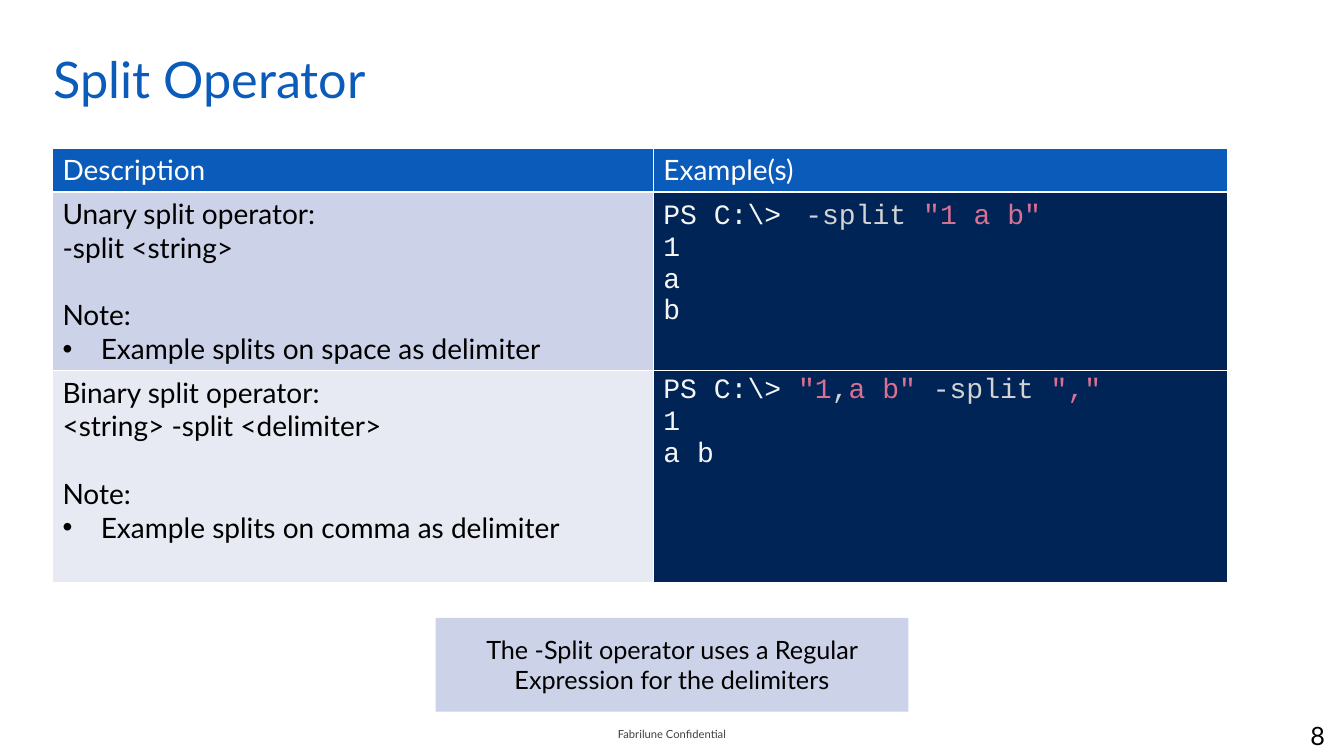
from typing import NamedTuple

from lxml.etree import SubElement
from pptx import Presentation
from pptx.dml.color import RGBColor
from pptx.enum.shapes import MSO_SHAPE
from pptx.enum.text import MSO_ANCHOR as Anchor, PP_ALIGN as Align
from pptx.oxml.ns import qn
from pptx.util import Inches, Pt

BLUE, NAVY, LAVENDER, PALE = "0A5BBA", "012456", "CCD2E7", "E7EAF3"
WHITE, BLACK, GRAY = "FFFFFF", "000000", "3F3F3F"
OUTPUT, OPERATOR, STRING = "F5F5F5", "D3D3D3", "DB7093"
BODY, CODE = "Lato", "Courier New"


class Piece(NamedTuple):
    text: str
    color: str = BLACK
    font: str = BODY
    size: float = 20


class Line(NamedTuple):
    pieces: list[Piece]
    align: Align = Align.LEFT
    bullet: bool = False
    space_before: float = 0


class Label(NamedTuple):
    left: float
    top: float
    width: float
    height: float
    insets: tuple[float, float, float, float]
    anchor: Anchor
    line: Line


class Cell(NamedTuple):
    fill: str
    lines: list[Line]


def rgb(color: str) -> RGBColor:
    return RGBColor.from_string(color)


def write(frame, lines: list[Line]) -> None:
    frame.word_wrap = True
    for index, line in enumerate(lines):
        para = frame.paragraphs[0] if index == 0 else frame.add_paragraph()
        para.alignment = line.align
        para.space_before = Pt(line.space_before)
        if line.bullet:
            props = para._p.get_or_add_pPr()
            props.set("marL", str(Inches(0.38)))
            props.set("indent", str(Inches(-0.38)))
            SubElement(props, qn("a:buFont"), typeface="Arial")
            SubElement(props, qn("a:buChar"), char="•")
        for piece in line.pieces:
            span = para.add_run()
            span.text = piece.text
            span.font.name = piece.font
            span.font.size = Pt(piece.size)
            span.font.color.rgb = rgb(piece.color)


def add_label(page, label: Label) -> None:
    box = page.shapes.add_textbox(Inches(label.left), Inches(label.top),
                                  Inches(label.width), Inches(label.height))
    frame = box.text_frame
    (frame.margin_left, frame.margin_top,
     frame.margin_right, frame.margin_bottom) = map(Inches, label.insets)
    frame.vertical_anchor = label.anchor
    write(frame, [label.line])


def fill_cell(cell, content: Cell) -> None:
    write(cell.text_frame, content.lines)
    props = cell._tc.get_or_add_tcPr()
    for side in ("lnL", "lnR", "lnT", "lnB"):
        border = SubElement(props, qn(f"a:{side}"), w=str(Pt(1)))
        paint = SubElement(border, qn("a:solidFill"))
        SubElement(paint, qn("a:srgbClr"), val=WHITE)
    cell.fill.solid()
    cell.fill.fore_color.rgb = rgb(content.fill)


def header(text: str) -> Cell:
    return Cell(BLUE, [Line([Piece(text, WHITE)])])


def description(fill: str, kind: str, syntax: str, delimiter: str) -> Cell:
    return Cell(fill, [
        Line([Piece(f"{kind} split operator:")]),
        Line([Piece(syntax)]),
        Line([Piece("Note:")], space_before=24),
        Line([Piece(f"Example splits on {delimiter} as delimiter")], bullet=True),
    ])


def console(command: list[Piece], results: list[str]) -> Cell:
    prompt = Piece("PS C:\\> ", OUTPUT, CODE)
    return Cell(NAVY, [Line([prompt, *command])]
                + [Line([Piece(result, OUTPUT, CODE)]) for result in results])


deck = Presentation()
deck.slide_width, deck.slide_height = Inches(13.33), Inches(7.5)
page = deck.slides.add_slide(deck.slide_layouts[6])

# Title, footer and page number
FOOTER_INSETS = (0.2, 0.05, 0.2, 0.05)
LABELS = [
    Label(0.33, 0.33, 12.33, 0.75, (0.2, 0.15, 0.1, 0.05), Anchor.TOP,
          Line([Piece("Split Operator", BLUE, size=36)])),
    Label(5.11, 7.08, 3.11, 0.4, FOOTER_INSETS, Anchor.MIDDLE,
          Line([Piece("Fabrilune Confidential", GRAY, size=8)], Align.CENTER)),
    Label(10.23, 7.1, 3.11, 0.4, FOOTER_INSETS, Anchor.MIDDLE,
          Line([Piece("8", size=18)], Align.RIGHT)),
]
for label in LABELS:
    add_label(page, label)

# Table of operator forms with console examples
ROWS = [
    [header("Description"), header("Example(s)")],
    [description(LAVENDER, "Unary", "-split <string>", "space"),
     console([Piece(" "), Piece("-split ", OPERATOR, CODE),
              Piece('"1 a b"', STRING, CODE)], ["1", "a", "b"])],
    [description(PALE, "Binary", "<string> -split <delimiter>", "comma"),
     console([Piece('"1', STRING, CODE), Piece(",", OPERATOR, CODE),
              Piece('a b" ', STRING, CODE), Piece("-split ", OPERATOR, CODE),
              Piece('","', STRING, CODE)], ["1", "a b"])],
]
WIDTHS, HEIGHTS = (5.96, 5.7), (0.43, 1.77, 2.11)
table = page.shapes.add_table(len(ROWS), len(WIDTHS), Inches(0.52), Inches(1.47),
                              Inches(sum(WIDTHS)), Inches(sum(HEIGHTS))).table
for column, width in zip(table.columns, WIDTHS):
    column.width = Inches(width)
for row, height, contents in zip(table.rows, HEIGHTS, ROWS):
    row.height = Inches(height)
    for cell, content in zip(row.cells, contents):
        fill_cell(cell, content)

# Remark below the table
remark = page.shapes.add_shape(MSO_SHAPE.RECTANGLE, Inches(4.32), Inches(6.13),
                               Inches(4.69), Inches(0.93))
remark.shadow.inherit = False
remark.fill.solid()
remark.fill.fore_color.rgb = rgb(LAVENDER)
remark.line.fill.background()
remark.text_frame.vertical_anchor = Anchor.MIDDLE
write(remark.text_frame, [Line(
    [Piece("The -Split operator uses a Regular Expression for the delimiters", size=18)],
    Align.CENTER)])

deck.save("out.pptx")
